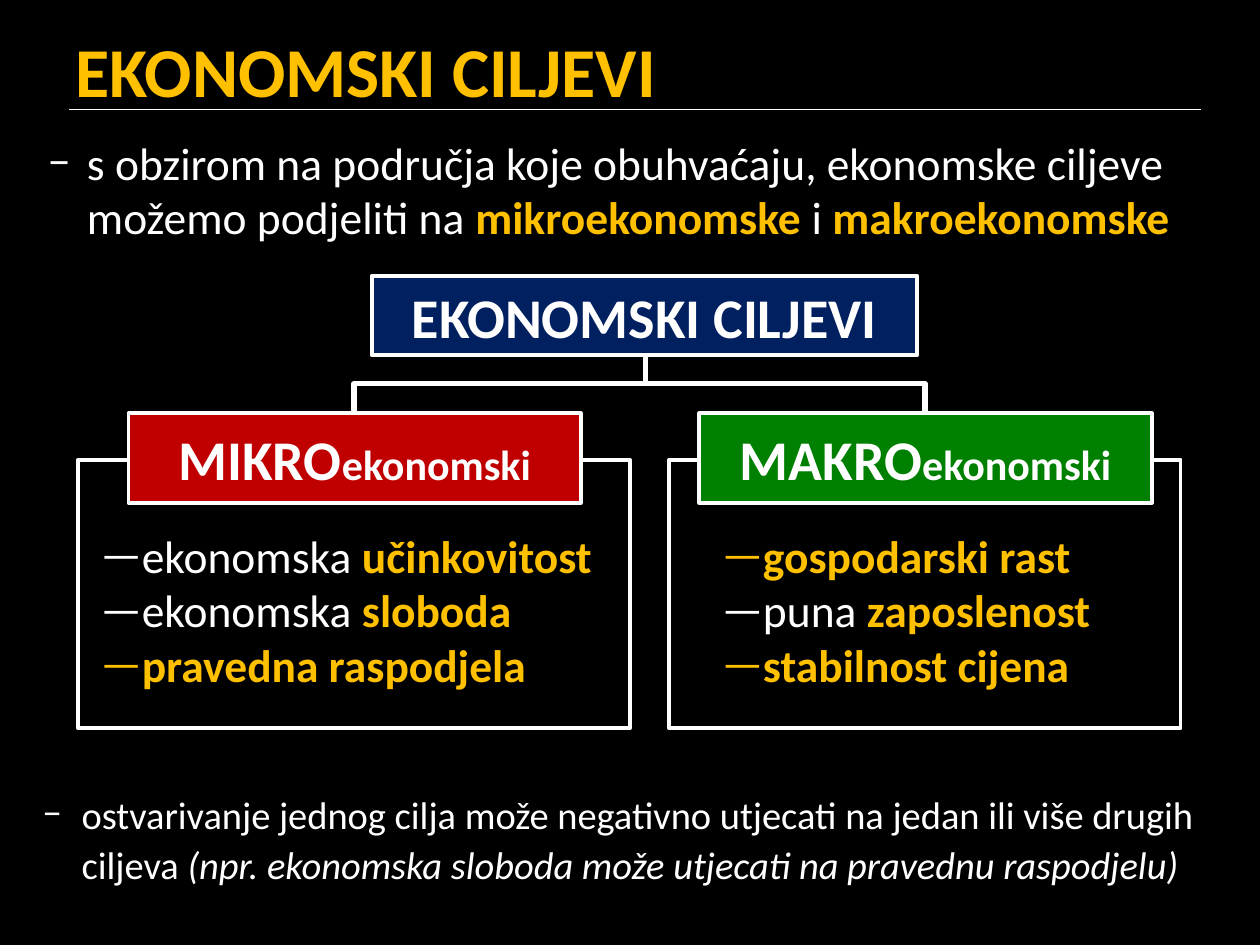
from lxml.etree import SubElement as Sub
from pptx import Presentation
from pptx.dml.color import RGBColor as RGB
from pptx.enum.shapes import MSO_CONNECTOR as Link, MSO_SHAPE as Kind
from pptx.enum.text import MSO_ANCHOR as Anchor, MSO_AUTO_SIZE as Fit, PP_ALIGN as Align
from pptx.oxml.ns import qn
from pptx.util import Inches, Pt

HUES = {"black": "000000", "white": "FFFFFF", "gold": "FFC000", "dash": "F9F9F9",
        "navy": "002060", "red": "C00000", "green": "008000"}
MID = 5.12
SIDES = [
    {"frame": (0.62, 4.38), "head": 1.02, "hue": "red", "name": "MIKRO", "list": (0.7, 4.3),
     "goals": [("ekonomska ", "učinkovitost"), ("ekonomska ", "sloboda"),
               ("", "pravedna raspodjela")]},
    {"frame": (5.31, 4.06), "head": 5.55, "hue": "green", "name": "MAKRO", "list": (5.63, 3.59),
     "goals": [("", "gospodarski rast"), ("puna ", "zaposlenost"),
               ("", "stabilnost cijena")]},
]


def color(name):
    return RGB.from_string(HUES[name])


def place(shape, x, y, w, h):
    shape.left, shape.top, shape.width, shape.height = map(Inches, (x, y, w, h))


def style(para, size, hue="white", bold=None):
    font = para.font
    font.name, font.size, font.bold = "Calibri", Pt(size), bold
    font.color.rgb = color(hue)


def write(para, text, hue=None, bold=None, size=None, italic=None):
    run = para.add_run()
    run.text = text
    font = run.font
    font.bold, font.italic = bold, italic
    if hue:
        font.color.rgb = color(hue)
    if size:
        font.size = Pt(size)


def bullet(para, char, left, hang, hue=None):
    props = para._p.get_or_add_pPr()
    props.set("marL", str(Inches(left)))
    props.set("indent", str(Inches(hang)))
    if hue:
        Sub(Sub(props, qn("a:buClr")), qn("a:srgbClr")).set("val", HUES[hue])
    Sub(props, qn("a:buFont")).set("typeface", "Calibri")
    Sub(props, qn("a:buChar")).set("char", char)


def box(slide, x, y, w, h, hue=None):
    shape = slide.shapes.add_shape(Kind.RECTANGLE, *map(Inches, (x, y, w, h)))
    shape.shadow.inherit = False
    if hue:
        shape.fill.solid()
        shape.fill.fore_color.rgb = color(hue)
    else:
        shape.fill.background()
    shape.line.color.rgb = color("white")
    shape.line.width = Pt(2.25)
    return shape


def label(slide, x, y, w, h, hue, text, tail=""):
    frame = box(slide, x, y, w, h, hue).text_frame
    frame.vertical_anchor = Anchor.MIDDLE
    para = frame.paragraphs[0]
    para.alignment = Align.CENTER
    style(para, 32, bold=True)
    write(para, text)
    if tail:
        write(para, tail, size=24)


def line(slide, kind, x1, y1, x2, y2, width):
    link = slide.shapes.add_connector(kind, *map(Inches, (x1, y1, x2, y2)))
    link.line.color.rgb = color("white")
    link.line.width = Pt(width)
    Sub(link._element.spPr, qn("a:effectLst"))
    return link


def branch(slide, x1, y1, x2, y2):
    cx, cy = (x1 + x2) / 2, (y1 + y2) / 2
    half, drop = abs(x2 - x1) / 2, (y2 - y1) / 2
    side = 1 if x2 > x1 else -1
    link = line(slide, Link.ELBOW, cx + side * drop, cy - half, cx - side * drop, cy + half, 3)
    link._element.spPr.find(qn("a:xfrm")).set("rot", str((270 if side > 0 else 90) * 60000))


def textbox(slide, x, y, w, h):
    frame = slide.shapes.add_textbox(*map(Inches, (x, y, w, h))).text_frame
    frame.word_wrap = True
    return frame


def goals(slide, x, w, items):
    frame = textbox(slide, x, 4.14, w, 1.41)
    frame.auto_size = Fit.SHAPE_TO_FIT_TEXT
    for i, (plain, strong) in enumerate(items):
        para = frame.add_paragraph() if i else frame.paragraphs[0]
        bullet(para, "—", 0.12, -0.39)
        style(para, 26)
        if plain:
            write(para, plain)
        write(para, strong, "gold", True)


def heading(slide):
    title = slide.shapes.title
    place(title, 0.5, 0.08, 9.19, 0.95)
    frame = title.text_frame
    frame.auto_size = Fit.NONE
    frame.vertical_anchor = Anchor.MIDDLE
    para = frame.paragraphs[0]
    para.alignment = Align.LEFT
    style(para, 40, "gold", True)
    write(para, "EKONOMSKI CILJEVI")


def intro(slide):
    body = slide.placeholders[1]
    place(body, 0, 1.02, 10, 0.94)
    body.text_frame.auto_size = Fit.NONE
    para = body.text_frame.paragraphs[0]
    para.space_before = Pt(12)
    bullet(para, "−", 0.59, -0.31, "dash")
    style(para, 26)
    write(para, "s obzirom na područja koje obuhvaćaju, ekonomske ciljeve možemo podjeliti na ")
    write(para, "mikroekonomske", "gold", True)
    write(para, " i ")
    write(para, "makroekonomske", "gold", True)


def note(slide):
    para = textbox(slide, 0, 6.19, 10, 0.94).paragraphs[0]
    para.line_spacing = Pt(29)
    para.space_before = Pt(12)
    bullet(para, "−", 0.55, -0.31, "dash")
    style(para, 22)
    write(para, "ostvarivanje jednog cilja može negativno utjecati na jedan ili više drugih ciljeva ")
    write(para, "(npr. ekonomska sloboda može utjecati na pravednu raspodjelu)", italic=True)


def main():
    deck = Presentation()
    deck.slide_width, deck.slide_height = Inches(10), Inches(7.5)
    slide = deck.slides.add_slide(deck.slide_layouts[1])
    back = slide.background.fill
    back.solid()
    back.fore_color.rgb = color("black")
    line(slide, Link.STRAIGHT, 0.55, 0.87, 9.53, 0.87, 1)
    heading(slide)
    intro(slide)
    for side in SIDES:
        x, w = side["frame"]
        box(slide, x, 3.65, w, 2.13)
        branch(slide, MID, 2.81, side["head"] + 1.79, 3.28)
        label(slide, side["head"], 3.28, 3.59, 0.71, side["hue"], side["name"], "ekonomski")
        goals(slide, *side["list"], side["goals"])
    label(slide, 2.95, 2.19, 4.33, 0.63, "navy", "EKONOMSKI CILJEVI")
    note(slide)
    deck.save("out.pptx")


main()
